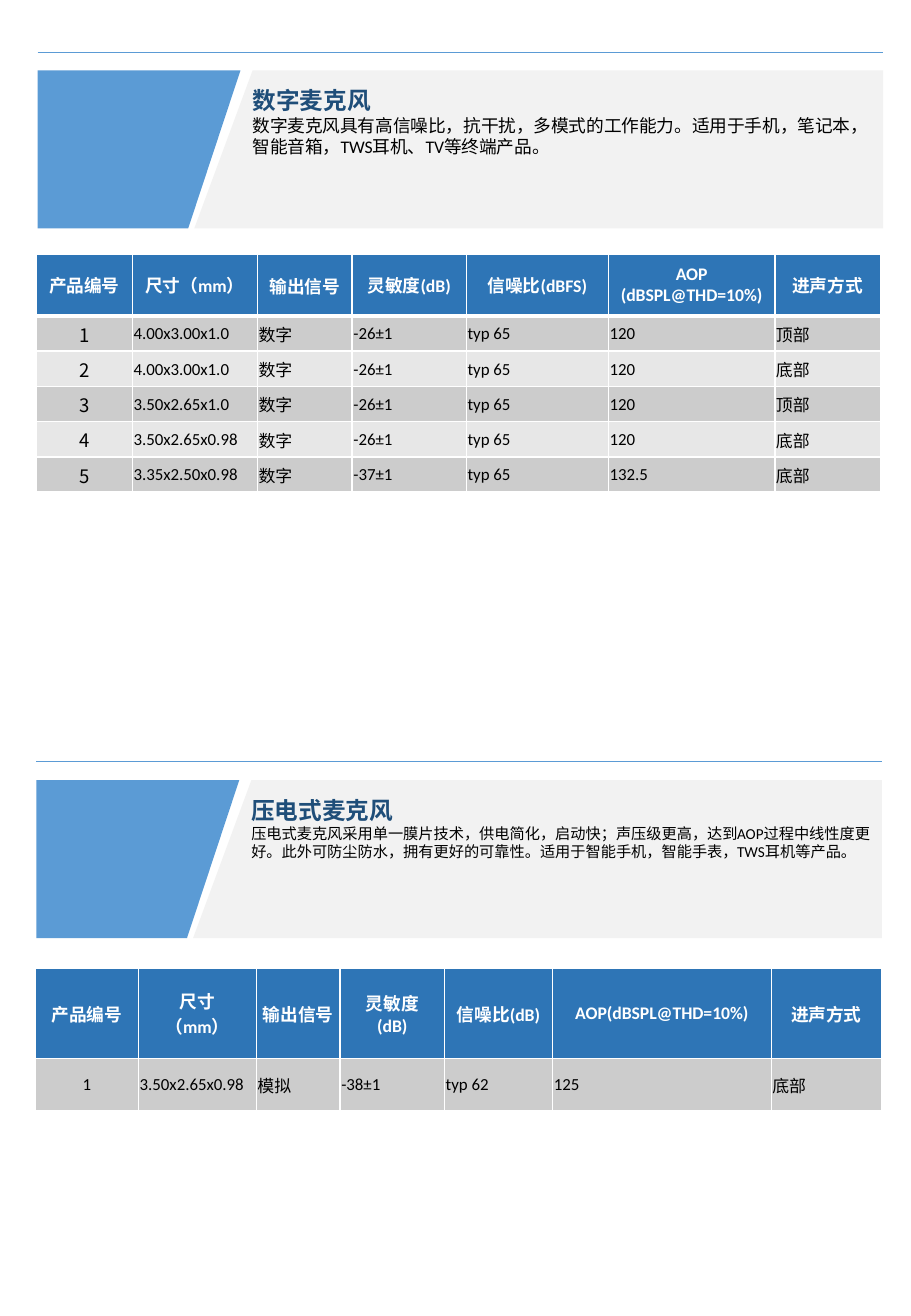
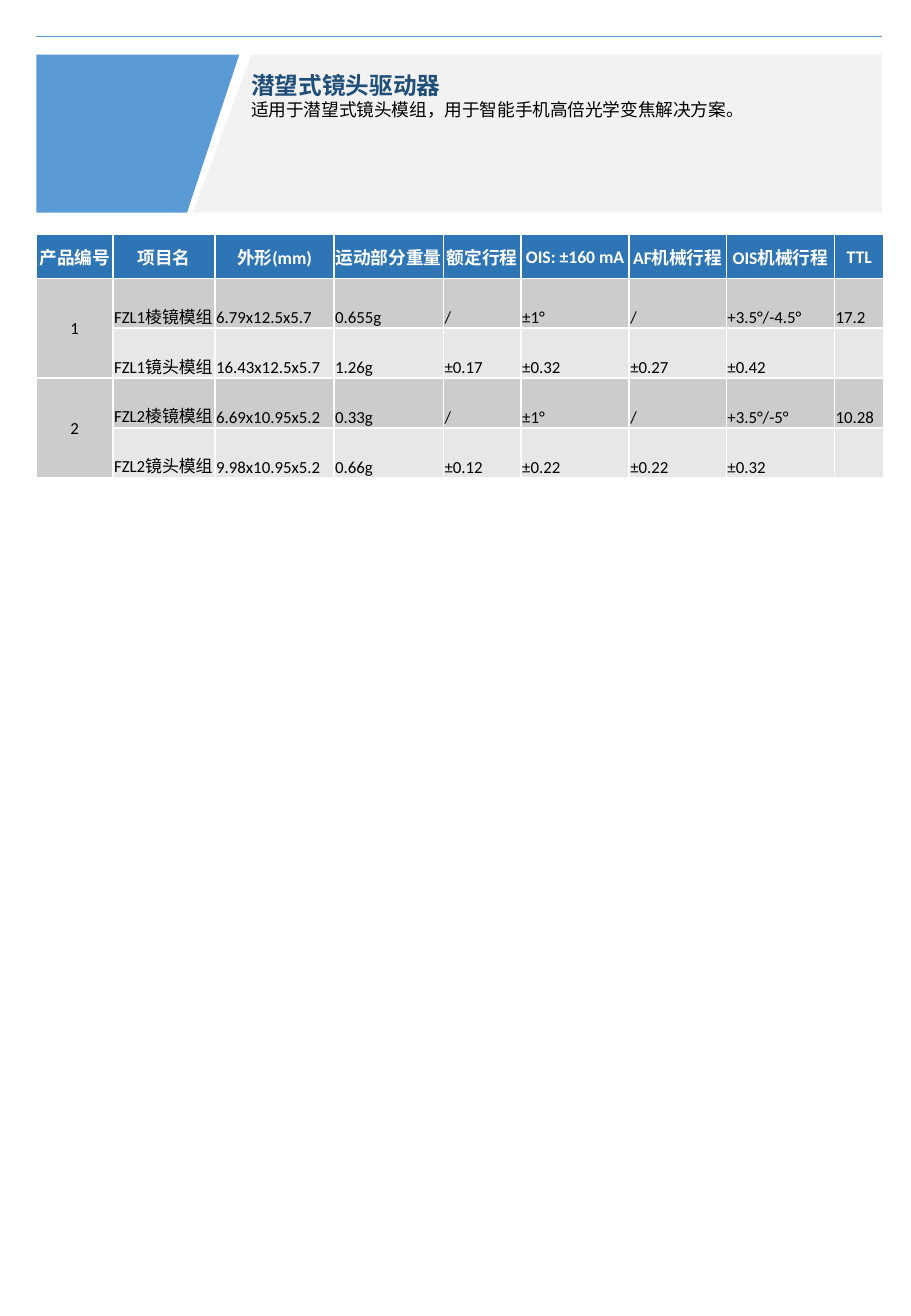
from dataclasses import dataclass

from lxml import etree
from pptx import Presentation
from pptx.dml.color import RGBColor
from pptx.enum.lang import MSO_LANGUAGE_ID
from pptx.enum.shapes import MSO_CONNECTOR
from pptx.enum.text import MSO_ANCHOR, MSO_AUTO_SIZE, PP_ALIGN
from pptx.oxml.ns import qn
from pptx.util import Emu, Pt

STRAIGHT = MSO_CONNECTOR.STRAIGHT
CHINESE = MSO_LANGUAGE_ID.SIMPLIFIED_CHINESE
MIDDLE, BOTTOM = MSO_ANCHOR.MIDDLE, MSO_ANCHOR.BOTTOM
LEFT, CENTER = PP_ALIGN.LEFT, PP_ALIGN.CENTER
GROW = MSO_AUTO_SIZE.SHAPE_TO_FIT_TEXT

EMU_PER_PX = 9144  # 100 px to the inch
SLIDE_WIDTH, SLIDE_HEIGHT = 750, 1083
BAND_WIDTH, BAND_HEIGHT = 696, 130
NORMAL_MARGINS = (10, 5, 10, 5)
TIGHT_MARGINS = (1, 1, 1, 0)


def px(length):
    return Emu(length * EMU_PER_PX)


@dataclass(frozen=True)
class Theme:
    accent: str = "5B9BD5"
    band: str = "F2F2F2"
    title: str = "1F4E79"
    ink: str = "000000"
    white: str = "FFFFFF"
    header: str = "2E75B6"
    stripes: tuple = ("CCCCCC", "E7E7E7")
    font: str = "Calibri"
    chinese_font: str = "Noto Sans CJK SC"
    title_size: float = 14
    text_size: float = 10.5
    small_text_size: float = 9
    cell_size: float = 10
    number_size: float = 11
    rule_width: float = 0.5
    border_width: float = 1
    thick_border_width: float = 3


class Deck:
    def __init__(self, theme):
        self.theme = theme
        self.presentation = Presentation()
        self.presentation.slide_width = px(SLIDE_WIDTH)
        self.presentation.slide_height = px(SLIDE_HEIGHT)
        self.slide = None

    def add_slide(self):
        layout = self.presentation.slide_layouts[6]
        self.slide = self.presentation.slides.add_slide(layout)

    def format_runs(self, paragraph, size, color, bold=False, font=None):
        for run in paragraph.runs:
            run.font.size = Pt(size)
            run.font.bold = bold
            run.font.color.rgb = RGBColor.from_string(color)
            run.font.name = font or self.theme.font
            run.font.language_id = CHINESE
            east_asian = etree.SubElement(run._r.get_or_add_rPr(), qn("a:ea"))
            east_asian.set("typeface", self.theme.chinese_font)

    def rule(self, left, top, width):
        line = self.slide.shapes.add_connector(
            STRAIGHT, px(left), px(top), px(left + width), px(top))
        line.line.color.rgb = RGBColor.from_string(self.theme.accent)
        line.line.width = Pt(self.theme.rule_width)
        etree.SubElement(line._element.spPr, qn("a:effectLst"))

    def polygon(self, points, color):
        start, *others = [(px(x), px(y)) for x, y in points]
        builder = self.slide.shapes.build_freeform(*start)
        builder.add_line_segments(others, close=True)
        shape = builder.convert_to_shape()
        shape.shadow.inherit = False
        shape.fill.solid()
        shape.fill.fore_color.rgb = RGBColor.from_string(color)
        shape.line.fill.background()

    def text(self, left, top, width, height, title, body, body_size):
        box = self.slide.shapes.add_textbox(px(left), px(top), px(width), px(height))
        frame = box.text_frame
        frame.word_wrap = True
        frame.auto_size = GROW
        frame.text = f"{title}\n{body}"
        heading, description = frame.paragraphs
        self.format_runs(heading, self.theme.title_size, self.theme.title, bold=True)
        self.format_runs(description, body_size, self.theme.ink)

    def banner(self, left, top, text_height, title, body, body_size=None):
        """Rule, slanted two-colour band, and the product's title and description."""
        right, bottom = left + BAND_WIDTH, top + BAND_HEIGHT
        self.rule(left, top - 15, BAND_WIDTH)
        self.polygon([(left + 177, top), (right, top), (right, bottom),
                      (left + 129, bottom)], self.theme.band)
        self.polygon([(left, top), (left + 167, top), (left + 124, bottom),
                      (left, bottom)], self.theme.accent)
        self.text(left + 167, top + 8, BAND_WIDTH - 167, text_height,
                  title, body, body_size or self.theme.text_size)

    def borders(self, cell, top_width, bottom_width):
        properties = cell._tc.get_or_add_tcPr()
        side = self.theme.border_width
        for tag, width in (("a:lnL", side), ("a:lnR", side),
                           ("a:lnT", top_width), ("a:lnB", bottom_width)):
            line = etree.SubElement(properties, qn(tag), w=str(Pt(width)))
            fill = etree.SubElement(line, qn("a:solidFill"))
            etree.SubElement(fill, qn("a:srgbClr"), val=self.theme.white)

    def style_cell(self, cell, fill, margins, anchor, alignment, **text_style):
        cell.fill.solid()
        cell.fill.fore_color.rgb = RGBColor.from_string(fill)
        (cell.margin_left, cell.margin_top,
         cell.margin_right, cell.margin_bottom) = map(px, margins)
        cell.vertical_anchor = anchor
        for paragraph in cell.text_frame.paragraphs:
            paragraph.alignment = alignment
            self.format_runs(paragraph, **text_style)

    def table(self, left, top, columns, heights, rows, tight_headers,
              header_border=None, body_anchor=MIDDLE, number_style=None, group=1):
        """Header row plus striped rows; group is how many rows share a number."""
        theme = self.theme
        header_border = header_border or theme.border_width
        number_style = number_style or {"size": theme.cell_size}
        frame = self.slide.shapes.add_table(
            len(rows), len(columns), px(left), px(top),
            px(sum(columns)), px(sum(heights)))
        table = frame.table
        table.first_row = table.horz_banding = False
        for column, width in zip(table.columns, columns):
            column.width = px(width)
        for row, height in zip(table.rows, heights):
            row.height = px(height)
        for r, values in enumerate(rows):
            for c, value in enumerate(values):
                cell = table.cell(r, c)
                cell.text = value
                self.borders(cell,
                             header_border if r == 1 else theme.border_width,
                             header_border if r == 0 else theme.border_width)
                if r == 0:
                    margins = TIGHT_MARGINS if c in tight_headers else NORMAL_MARGINS
                    self.style_cell(cell, theme.header, margins, MIDDLE, CENTER,
                                    size=theme.text_size, color=theme.white, bold=True)
                elif c == 0:
                    stripe = theme.stripes[(r - 1) % 2]
                    self.style_cell(cell, stripe, TIGHT_MARGINS, MIDDLE, CENTER,
                                    color=theme.ink, **number_style)
                else:
                    stripe = theme.stripes[(r - 1) % 2]
                    self.style_cell(cell, stripe, TIGHT_MARGINS, body_anchor, LEFT,
                                    size=theme.cell_size, color=theme.ink)
        if group > 1:
            for r in range(1, len(rows), group):
                table.cell(r, 0).merge(table.cell(r + group - 1, 0))


DIGITAL_ROWS = [
    ["产品编号", "尺寸（mm）", "输出信号", "灵敏度(dB)", "信噪比(dBFS)",
     "AOP\n(dBSPL@THD=10%)", "进声方式"],
    ["1", "4.00x3.00x1.0", "数字", "-26±1", "typ 65", "120", "顶部"],
    ["2", "4.00x3.00x1.0", "数字", "-26±1", "typ 65", "120", "底部"],
    ["3", "3.50x2.65x1.0", "数字", "-26±1", "typ 65", "120", "顶部"],
    ["4", "3.50x2.65x0.98", "数字", "-26±1", "typ 65", "120", "底部"],
    ["5", "3.35x2.50x0.98", "数字", "-37±1", "typ 65", "132.5", "底部"],
]
PIEZO_ROWS = [
    ["产品编号", "尺寸（mm）", "输出信号", "灵敏度(dB)", "信噪比(dB)",
     "AOP(dBSPL@THD=10%)", "进声方式"],
    ["1", "3.50x2.65x0.98", "模拟", "-38±1", "typ 62", "125", "底部"],
]
LENS_ROWS = [
    ["产品编号", "项目名", "外形(mm)", "运动部分重量", "额定行程",
     "OIS: ±160 mA", "AF机械行程", "OIS机械行程", "TTL"],
    ["1", "FZL1棱镜模组", "6.79x12.5x5.7", "0.655g", "/", "±1°", "/",
     "+3.5°/-4.5°", "17.2"],
    ["", "FZL1镜头模组", "16.43x12.5x5.7", "1.26g", "±0.17", "±0.32", "±0.27",
     "±0.42", ""],
    ["2", "FZL2棱镜模组", "6.69x10.95x5.2", "0.33g", "/", "±1°", "/",
     "+3.5°/-5°", "10.28"],
    ["", "FZL2镜头模组", "9.98x10.95x5.2", "0.66g", "±0.12", "±0.22", "±0.22",
     "±0.32", ""],
]


def add_microphones(deck):
    theme = deck.theme
    deck.add_slide()
    deck.banner(31, 58, 69, "数字麦克风",
                "数字麦克风具有高信噪比，抗干扰，多模式的工作能力。适用于手机，笔记本，"
                "智能音箱，TWS耳机、TV等终端产品。")
    deck.banner(30, 642, 64, "压电式麦克风",
                "压电式麦克风采用单一膜片技术，供电简化，启动快；声压级更高，"
                "达到AOP过程中线性度更好。此外可防尘防水，拥有更好的可靠性。"
                "适用于智能手机，智能手表，TWS耳机等产品。", theme.small_text_size)
    deck.table(30, 209, [79, 103, 78, 94, 117, 137, 87], [51] + [29] * 5,
               DIGITAL_ROWS, tight_headers={2},
               header_border=theme.thick_border_width,
               number_style={"size": theme.number_size, "font": theme.chinese_font})
    deck.table(29, 797, [85, 97, 69, 86, 89, 180, 91], [74, 43],
               PIEZO_ROWS, tight_headers={2})


def add_lens_drivers(deck):
    deck.add_slide()
    deck.table(30, 193, [63, 84, 98, 90, 64, 89, 80, 89, 41], [36] * 5,
               LENS_ROWS, tight_headers=range(9), body_anchor=BOTTOM, group=2)
    deck.banner(30, 45, 51, "潜望式镜头驱动器",
                "适用于潜望式镜头模组，用于智能手机高倍光学变焦解决方案。")


def main():
    deck = Deck(Theme())
    add_microphones(deck)
    add_lens_drivers(deck)
    deck.presentation.save("out.pptx")


if __name__ == "__main__":
    main()
